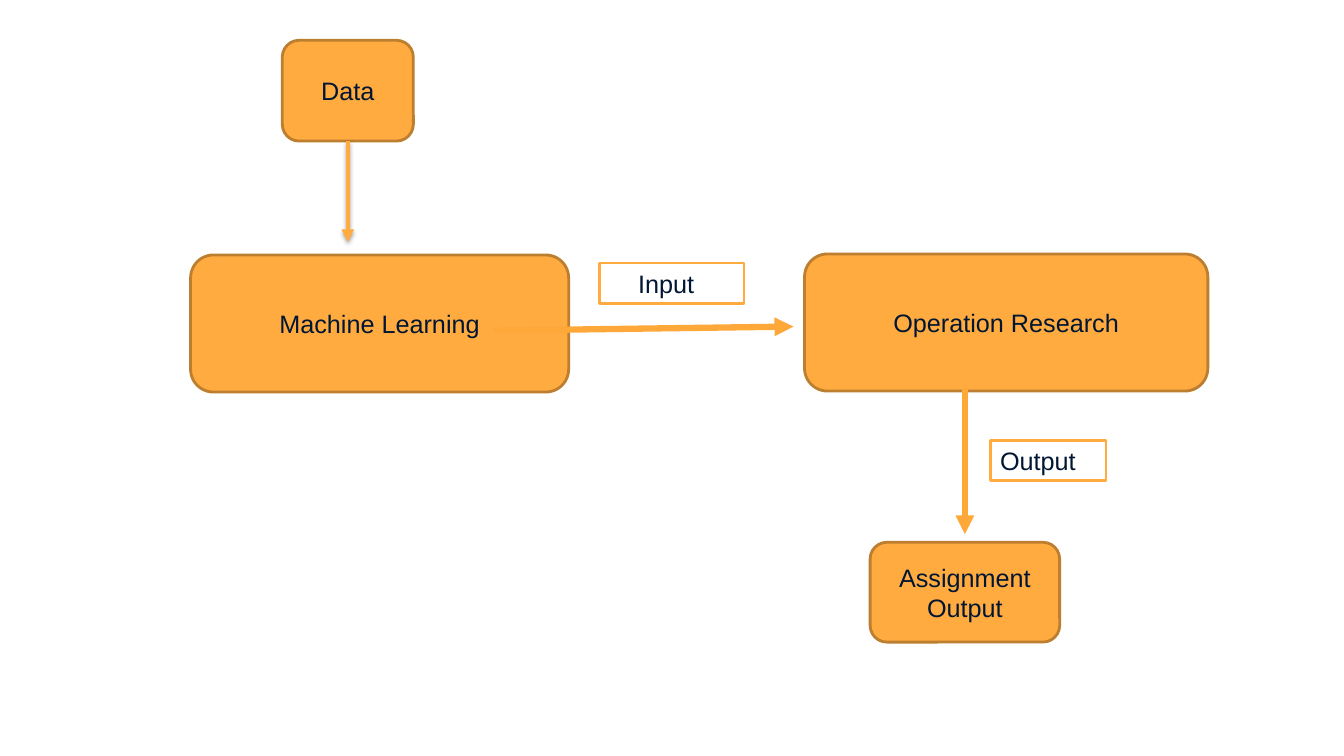
from dataclasses import dataclass

from lxml import etree
from pptx import Presentation
from pptx.dml.color import RGBColor
from pptx.enum.shapes import MSO_CONNECTOR, MSO_SHAPE
from pptx.enum.text import MSO_ANCHOR, PP_ALIGN
from pptx.oxml.ns import qn
from pptx.util import Inches, Pt

ROUNDED = MSO_SHAPE.ROUNDED_RECTANGLE
RECTANGLE = MSO_SHAPE.RECTANGLE
STRAIGHT = MSO_CONNECTOR.STRAIGHT
MIDDLE, TOP = MSO_ANCHOR.MIDDLE, MSO_ANCHOR.TOP
CENTER, LEFT = PP_ALIGN.CENTER, PP_ALIGN.LEFT


@dataclass(frozen=True)
class Theme:
    font: str = "Arial"
    text_size: float = 18
    text: str = "001633"
    orange: str = "FFAB40"
    flow_arrow: str = "FEA83A"
    stage_border: str = "BD7F2F"
    label_fill: str = "FFFFFF"
    shadow: str = "000000"
    border_width: float = 2
    data_arrow_width: float = 3
    flow_arrow_width: float = 4.5


THEME = Theme()


def add_box(slide, kind, box, fill, border):
    left, top, width, height = map(Inches, box)
    shape = slide.shapes.add_shape(kind, left, top, width, height)
    shape.shadow.inherit = False
    shape.fill.solid()
    shape.fill.fore_color.rgb = RGBColor.from_string(fill)
    shape.line.color.rgb = RGBColor.from_string(border)
    shape.line.width = Pt(THEME.border_width)
    return shape


def write_text(shape, words, align, anchor, indent=0):
    frame = shape.text_frame
    frame.word_wrap = True
    frame.vertical_anchor = anchor
    frame.margin_left = Inches(0.1 + indent)
    paragraph = frame.paragraphs[0]
    paragraph.alignment = align
    run = paragraph.add_run()
    run.text = words
    run.font.name = THEME.font
    run.font.size = Pt(THEME.text_size)
    run.font.color.rgb = RGBColor.from_string(THEME.text)


def add_stage(slide, box, words):
    stage = add_box(slide, ROUNDED, box, THEME.orange, THEME.stage_border)
    write_text(stage, words, CENTER, MIDDLE)


def add_flow_label(slide, box, words, indent=0):
    label = add_box(slide, RECTANGLE, box, THEME.label_fill, THEME.orange)
    write_text(label, words, LEFT, TOP, indent)


def add_arrow(slide, start, end, color, width):
    """Draw an arrow from start to end and return its empty effect list."""
    arrow = slide.shapes.add_connector(STRAIGHT, *map(Inches, start + end))
    arrow.line.color.rgb = RGBColor.from_string(color)
    arrow.line.width = Pt(width)
    etree.SubElement(arrow.line._get_or_add_ln(), qn("a:tailEnd"), type="triangle")
    return etree.SubElement(arrow._element.spPr, qn("a:effectLst"))


def add_soft_shadow(effects):
    shadow = etree.SubElement(
        effects, qn("a:outerShdw"), blurRad=str(Pt(3.1)), dist=str(Pt(1.8)),
        dir="5400000", rotWithShape="0")
    color = etree.SubElement(shadow, qn("a:srgbClr"), val=THEME.shadow)
    etree.SubElement(color, qn("a:alpha"), val="35000")


def add_models(slide, box):
    """Place the learning and research stages at the two ends of the box."""
    left, top, width, height = box
    learning_width, research_width, stage_height = 3.75, 4, 1.36
    add_stage(slide, (left, top + height - stage_height, learning_width, stage_height),
              "Machine Learning")
    add_stage(slide, (left + width - research_width, top, research_width, stage_height),
              "Operation Research")
    add_arrow(slide, (left + 3, top + 0.76), (left + 5.98, top + 0.72),
              THEME.flow_arrow, THEME.flow_arrow_width)
    add_flow_label(slide, (left + 4.06, top + 0.09, 1.43, 0.4), "Input", indent=0.28)


def add_result(slide, box):
    """Place the result stage at the foot of the box, under its arrow."""
    left, top, width, height = box
    stage_height = 0.99
    stage_top = top + height - stage_height
    center = left + width / 2
    add_stage(slide, (left, stage_top, width, stage_height), "Assignment Output")
    add_arrow(slide, (center, top), (center, stage_top - 0.08),
              THEME.flow_arrow, THEME.flow_arrow_width)
    add_flow_label(slide, (center + 0.25, top + 0.52, 1.15, 0.4), "Output")


def add_data_source(slide, box):
    """Place the data stage in the upper half of the box, its arrow below."""
    left, top, width, height = box
    center, middle = left + width / 2, top + height / 2
    add_stage(slide, (left, top, width, height / 2), "Data")
    effects = add_arrow(slide, (center, middle), (center, top + height),
                        THEME.orange, THEME.data_arrow_width)
    add_soft_shadow(effects)


def main():
    deck = Presentation()
    deck.slide_width, deck.slide_height = Inches(13.33), Inches(7.5)
    slide = deck.slides.add_slide(deck.slide_layouts[6])
    add_models(slide, (1.89, 2.52, 10.09, 1.37))
    add_result(slide, (8.63, 3.85, 1.88, 2.52))
    add_data_source(slide, (2.8, 0.4, 1.3, 2))
    deck.save("out.pptx")


if __name__ == "__main__":
    main()
